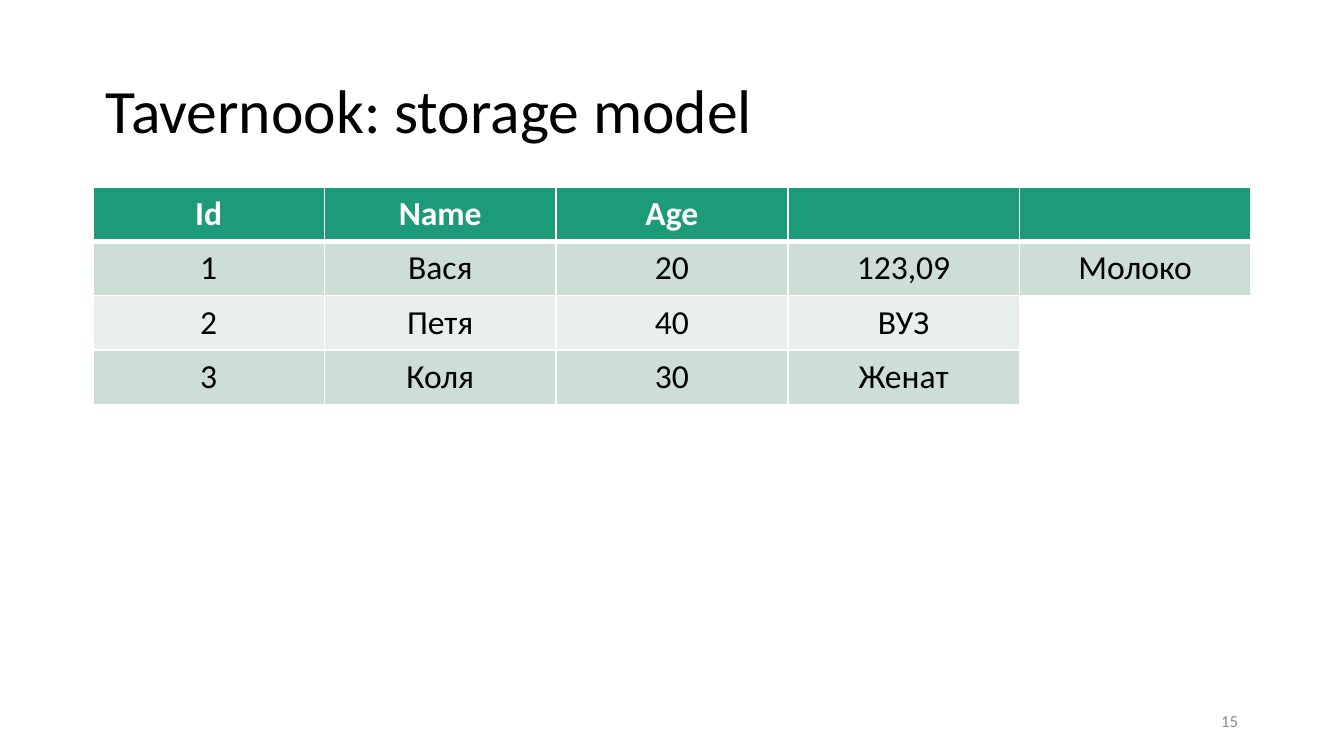
import dataclasses

import lxml.etree
import pptx
import pptx.dml.color
import pptx.enum.text
import pptx.oxml.ns
import pptx.presentation
import pptx.slide
import pptx.table
import pptx.text.text
import pptx.util

Inches = pptx.util.Inches
Pt = pptx.util.Pt
RGBColor = pptx.dml.color.RGBColor
Align = pptx.enum.text.PP_ALIGN
Anchor = pptx.enum.text.MSO_ANCHOR

FONT = "Calibri"
BLACK = RGBColor(0x00, 0x00, 0x00)
WHITE = RGBColor(0xFF, 0xFF, 0xFF)
GREY = RGBColor(0x8C, 0x8C, 0x8C)
GREEN = RGBColor(0x1D, 0x9A, 0x78)
BAND_DARK = RGBColor(0xCD, 0xDE, 0xD6)
BAND_LIGHT = RGBColor(0xE8, 0xEF, 0xEC)

SLIDE_WIDTH = 10
SLIDE_HEIGHT = SLIDE_WIDTH * 9 / 16
LEFT, TABLE_TOP, WIDTH = 0.69, 1.39, 8.62
TABLE_HEIGHT = 1.62
HEADER_RULE, THIN_RULE = 3, 1


@dataclasses.dataclass(frozen=True)
class Label:
    text: str
    left: float
    top: float
    width: float
    height: float
    size: float
    color: RGBColor
    align: Align
    line_spacing: float = 1.0


@dataclasses.dataclass(frozen=True)
class Record:
    values: tuple[str, ...]
    fill: RGBColor
    color: RGBColor = BLACK
    bold: bool = False


TITLE = Label("Tavernook: storage model", LEFT, 0.3, WIDTH, 1.09, 33, BLACK, Align.LEFT, 0.9)
PAGE_NUMBER = Label("15", 7.06, 5.21, 2.25, 0.3, 9, GREY, Align.RIGHT)

RECORDS = (
    Record(("Id", "Name", "Age", "", ""), GREEN, WHITE, True),
    Record(("1", "Вася", "20", "123,09", "Молоко"), BAND_DARK),
    Record(("2", "Петя", "40", "ВУЗ"), BAND_LIGHT),
    Record(("3", "Коля", "30", "Женат"), BAND_DARK),
)


def style_paragraph(para: pptx.text.text._Paragraph, size: float, color: RGBColor,
                    align: Align, bold: bool = False) -> None:
    para.alignment = align
    para.font.name = FONT
    para.font.size = Pt(size)
    para.font.bold = bold
    para.font.color.rgb = color


def add_label(page: pptx.slide.Slide, label: Label) -> None:
    box = page.shapes.add_textbox(Inches(label.left), Inches(label.top),
                                  Inches(label.width), Inches(label.height))
    frame = box.text_frame
    frame.word_wrap = True
    frame.vertical_anchor = Anchor.MIDDLE
    para = frame.paragraphs[0]
    para.text = label.text
    para.line_spacing = label.line_spacing
    style_paragraph(para, label.size, label.color, label.align)


def set_borders(cell: pptx.table._Cell, top: float, bottom: float) -> None:
    properties = cell._tc.get_or_add_tcPr()
    widths = {"a:lnL": THIN_RULE, "a:lnR": THIN_RULE, "a:lnT": top, "a:lnB": bottom}
    qn = pptx.oxml.ns.qn
    for position, (tag, width) in enumerate(widths.items()):
        line = lxml.etree.Element(qn(tag), w=str(Pt(width)))
        fill = lxml.etree.SubElement(line, qn("a:solidFill"))
        lxml.etree.SubElement(fill, qn("a:srgbClr"), val=str(WHITE))
        properties.insert(position, line)


def add_record_table(page: pptx.slide.Slide, records: tuple[Record, ...]) -> None:
    column_count = len(records[0].values)
    table = page.shapes.add_table(len(records), column_count, Inches(LEFT), Inches(TABLE_TOP),
                                  Inches(WIDTH), Inches(TABLE_HEIGHT)).table
    table.first_row = False
    table.horz_banding = False

    for row, record in enumerate(records):
        for column in range(column_count):
            cell = table.cell(row, column)
            filled = column < len(record.values)
            cell.fill.solid()
            cell.fill.fore_color.rgb = record.fill if filled else WHITE
            para = cell.text_frame.paragraphs[0]
            if filled and record.values[column]:
                para.text = record.values[column]
            style_paragraph(para, 18, record.color, Align.CENTER, record.bold)
            set_borders(cell,
                        top=HEADER_RULE if row == 1 else THIN_RULE,
                        bottom=HEADER_RULE if row == 0 else THIN_RULE)


def build_deck() -> pptx.presentation.Presentation:
    deck = pptx.Presentation()
    deck.slide_width = Inches(SLIDE_WIDTH)
    deck.slide_height = Inches(SLIDE_HEIGHT)
    page = deck.slides.add_slide(deck.slide_layouts[6])

    # Title, table and page number
    add_label(page, TITLE)
    add_record_table(page, RECORDS)
    add_label(page, PAGE_NUMBER)
    return deck


if __name__ == "__main__":
    build_deck().save("out.pptx")
